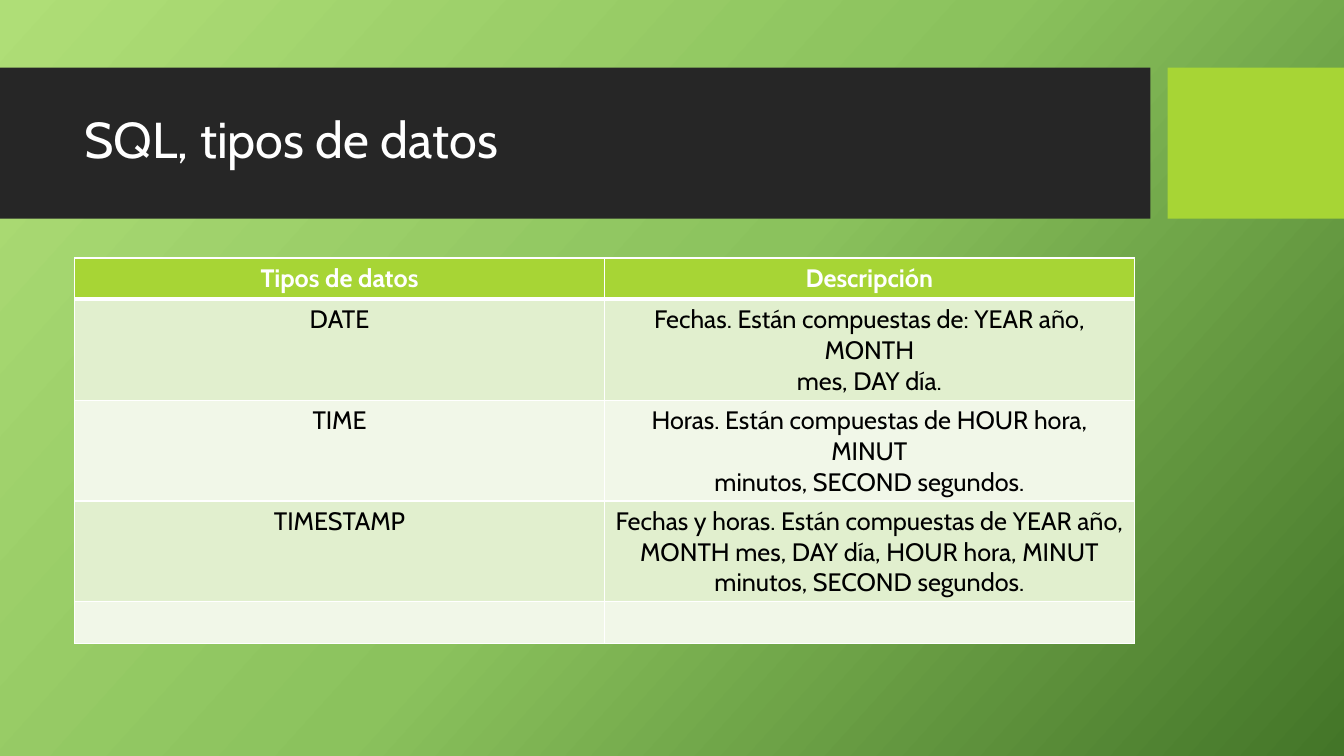
from copy import deepcopy

from pptx import Presentation
from pptx.dml.color import RGBColor as Rgb
from pptx.enum.shapes import MSO_SHAPE as Shape
from pptx.enum.text import MSO_ANCHOR as Anchor, PP_ALIGN as Align
from pptx.oxml import parse_xml
from pptx.oxml.ns import nsdecls, qn
from pptx.util import Inches, Pt

COLORS = {
    "band": "262626", "lime": "A7D535", "white": "FFFFFF", "black": "000000",
    "row_dark": "E1EFCE", "row_light": "F1F7E8",
    "sky": "AFDE77", "leaf": "8BC25D", "forest": "437528",
}

# Each cell is a list of paragraphs
DATA_TYPES = [
    (["Tipos de datos"], ["Descripción"]),
    (["DATE"], ["Fechas. Están compuestas de: YEAR año, MONTH", "mes, DAY día."]),
    (["TIME"], ["Horas. Están compuestas de HOUR hora, MINUT",
                "minutos, SECOND segundos."]),
    (["TIMESTAMP"], ["Fechas y horas. Están compuestas de YEAR año,",
                     "MONTH mes, DAY día, HOUR hora, MINUT",
                     "minutos, SECOND segundos."]),
    ([], []),
]


class SlideBuilder:
    font = "Cabin"

    def __init__(self, page):
        self.page = page

    def color(self, name):
        return Rgb.from_string(COLORS[name])

    def background(self, names, angle):
        fill = self.page.background.fill
        fill.gradient()
        fill.gradient_angle = 360 - angle
        stop_list = self.page.element.find(".//" + qn("a:gsLst"))
        while len(stop_list) < len(names):
            stop_list.append(deepcopy(stop_list[0]))
        for index, (stop, name) in enumerate(zip(fill.gradient_stops, names)):
            stop.position = index / (len(names) - 1)
            stop.color.rgb = self.color(name)

    def rectangle(self, left, top, width, height, name):
        box = self.page.shapes.add_shape(
            Shape.RECTANGLE, *map(Inches, (left, top, width, height)))
        box.shadow.inherit = False
        box.fill.solid()
        box.fill.fore_color.rgb = self.color(name)
        box.line.fill.background()

    def add_text(self, para, text, size, name, bold=False):
        span = para.add_run()
        span.text = text
        span.font.name = self.font
        span.font.size = Pt(size)
        span.font.bold = bold
        span.font.color.rgb = self.color(name)

    def title(self, left, top, width, height, text):
        box = self.page.shapes.add_textbox(*map(Inches, (left, top, width, height)))
        frame = box.text_frame
        frame.word_wrap = True
        frame.vertical_anchor = Anchor.MIDDLE
        para = frame.paragraphs[0]
        para.line_spacing = 0.9
        self.add_text(para, text, 36, "white")

    def borders(self, cell, bottom=1, top=1):
        props = cell._tc.get_or_add_tcPr()
        widths = {"lnL": 1, "lnR": 1, "lnT": top, "lnB": bottom}
        for index, (side, width) in enumerate(widths.items()):
            props.insert(index, parse_xml(
                f'<a:{side} {nsdecls("a")} w="{Pt(width)}"><a:solidFill>'
                f'<a:srgbClr val="{COLORS["white"]}"/></a:solidFill></a:{side}>'))

    def table(self, left, top, width, row_height, rows):
        height = row_height * len(rows)
        grid = self.page.shapes.add_table(
            len(rows), len(rows[0]),
            *map(Inches, (left, top, width, height))).table
        for r, row in enumerate(rows):
            header = r == 0
            fill = "lime" if header else ("row_dark" if r % 2 else "row_light")
            for c, lines in enumerate(row):
                cell = grid.cell(r, c)
                cell.fill.solid()
                cell.fill.fore_color.rgb = self.color(fill)
                self.borders(cell, bottom=3 if header else 1, top=3 if r == 1 else 1)
                frame = cell.text_frame
                for index, line in enumerate(lines):
                    para = frame.add_paragraph() if index else frame.paragraphs[0]
                    para.alignment = Align.CENTER
                    self.add_text(para, line, 18, "white" if header else "black", header)


def main():
    deck = Presentation()
    deck.slide_width, deck.slide_height = Inches(13.33), Inches(7.5)
    builder = SlideBuilder(deck.slides.add_slide(deck.slide_layouts[6]))

    # Background and title band
    builder.background(["sky", "leaf", "forest"], 42)
    builder.rectangle(0, 0.67, 11.41, 1.5, "band")
    builder.rectangle(11.58, 0.67, 1.75, 1.5, "lime")
    builder.title(0.74, 0.82, 10.51, 1.18, "SQL, tipos de datos")

    # Data type table
    builder.table(0.74, 2.56, 10.51, 0.41, DATA_TYPES)
    deck.save("out.pptx")


if __name__ == "__main__":
    main()
